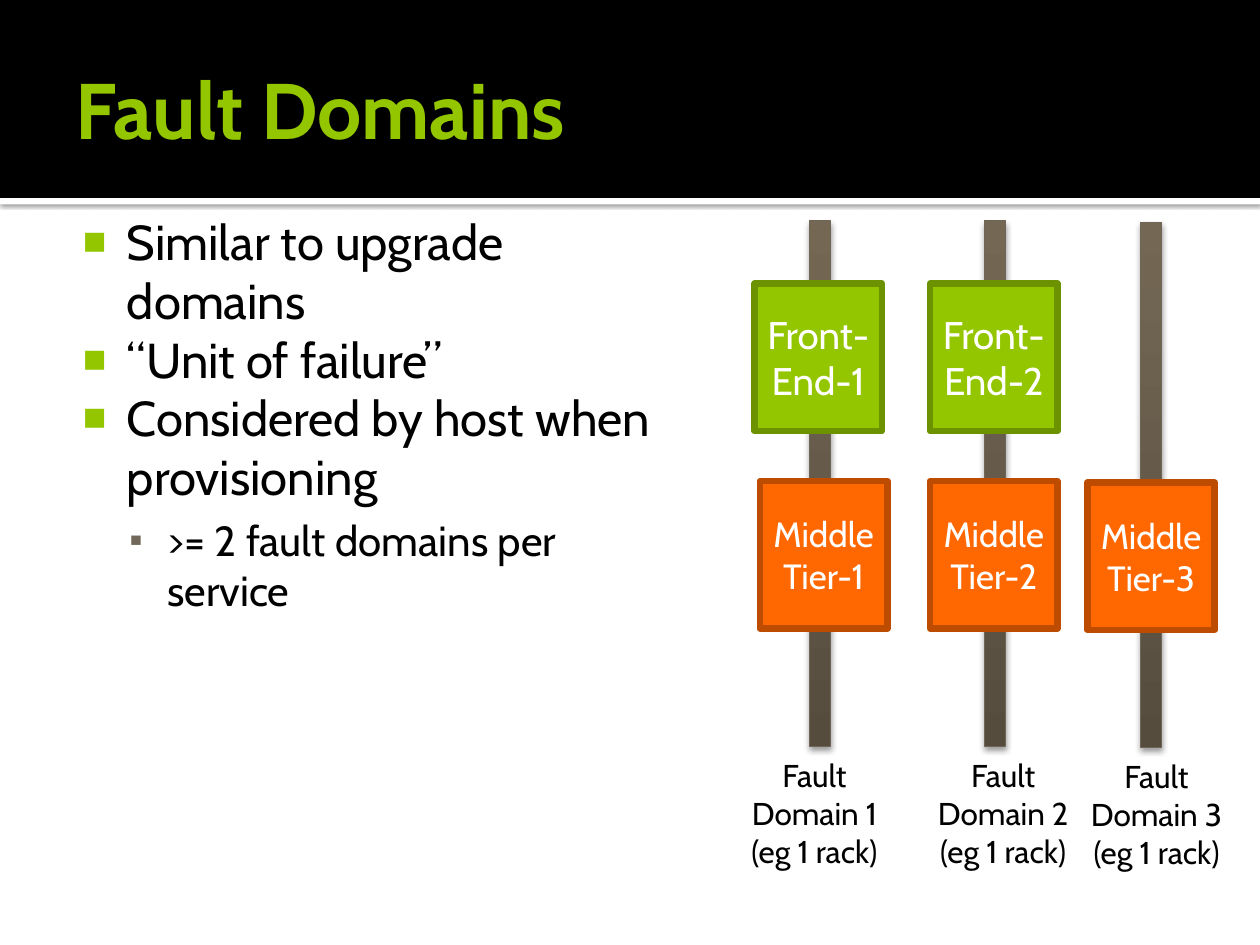
import pptx
import pptx.util
import pptx.dml.color
import pptx.enum.shapes
import pptx.enum.text
import pptx.oxml
import pptx.oxml.ns
import lxml.etree

Cm, Pt = pptx.util.Cm, pptx.util.Pt
Rgb = pptx.dml.color.RGBColor.from_string
Align, Anchor = pptx.enum.text.PP_ALIGN, pptx.enum.text.MSO_ANCHOR
FONT = "Cabin"
HEX = {
    "black": "000000", "white": "FFFFFF", "lime": "94C600", "moss": "6D9200",
    "flame": "FF6700", "rust": "BD4C00", "dark": "554C3E", "light": "746855",
    "edge": "6F6657", "stone": "71685A",
}

deck = pptx.Presentation()
deck.slide_width, deck.slide_height = Cm(25.4), Cm(19.05)
slide = deck.slides.add_slide(deck.slide_layouts[1])


def block(x, y, w, h, fill=None, shade=None):
    """Add a plain rectangle; shade is (opacity %, blur pt, distance pt)."""
    rect = slide.shapes.add_shape(
        pptx.enum.shapes.MSO_SHAPE.RECTANGLE, Cm(x), Cm(y), Cm(w), Cm(h))
    rect.shadow.inherit = False
    rect.line.fill.background()
    if fill:
        rect.fill.solid()
        rect.fill.fore_color.rgb = Rgb(HEX[fill])
    if shade:
        alpha, blur, dist = shade
        props = rect.element.spPr.find(pptx.oxml.ns.qn("a:effectLst"))
        props.append(pptx.oxml.parse_xml(
            f'<a:outerShdw {pptx.oxml.ns.nsdecls("a")} blurRad="{Pt(blur)}" '
            f'dist="{Pt(dist)}" dir="5400000" rotWithShape="0">'
            f'<a:srgbClr val="{HEX["black"]}"><a:alpha val="{alpha * 1000}"/>'
            '</a:srgbClr></a:outerShdw>'))
    return rect


def style(frame, size, color, align, pads, bold=False):
    """Set the insets (left, top, right, bottom in cm) and format all text."""
    frame.word_wrap = True
    frame.auto_size = pptx.enum.text.MSO_AUTO_SIZE.NONE
    (frame.margin_left, frame.margin_top,
     frame.margin_right, frame.margin_bottom) = map(Cm, pads)
    for para in frame.paragraphs:
        para.alignment = align
        for run in para.runs:
            run.font.name, run.font.size, run.font.bold = FONT, Pt(size), bold
            run.font.color.rgb = Rgb(HEX[color])


# Header band with a white strip below it
block(0, 3.99, 25.4, 0.13, "white", (60, 2.5, 0.8))
block(0, 0, 25.4, 3.99, "black")

# Title, brought in front of the band
title = slide.shapes.title
title.left, title.top, title.width, title.height = map(Cm, (1.27, 0.43, 22.86, 3.48))
title.text_frame.text = "Fault Domains"
title.text_frame.vertical_anchor = Anchor.MIDDLE
style(title.text_frame, 45, "lime", Align.LEFT, (0.25, 0.13, 0.13, 0.13), True)
title.element.getparent().append(title.element)

# Bullet list: text, level
items = [
    ("Similar to upgrade domains", 0),
    ("“Unit of failure”", 0),
    ("Considered by host when provisioning", 0),
    (">= 2 fault domains per service", 1),
]
# Per level: text size, space before, indent, hang, mark, mark colour, mark size %
levels = [
    (28, 0, 1.22, 0.89, "■", "lime", 80),
    (24, 5, 2.03, 0.76, "▪", "stone", 90),
]
body = slide.placeholders[1]
body.left, body.top, body.width, body.height = map(Cm, (1.09, 4.01, 12.78, 13.84))
frame = body.text_frame
frame.text = "\n".join(text for text, level in items)
style(frame, 28, "black", Align.LEFT, (0.25, 0.25, 0.25, 0.13))
for para, (text, level) in zip(frame.paragraphs, items):
    size, gap, left, hang, mark, tint, scale = levels[level]
    para.level = level
    para.space_before = Pt(gap)
    para.runs[0].font.size = Pt(size)
    props = para._p.get_or_add_pPr()
    props.set("marL", str(Cm(left)))
    props.set("indent", str(-Cm(hang)))
    color = lxml.etree.SubElement(props, pptx.oxml.ns.qn("a:buClr"))
    lxml.etree.SubElement(color, pptx.oxml.ns.qn("a:srgbClr"), val=HEX[tint])
    lxml.etree.SubElement(props, pptx.oxml.ns.qn("a:buSzPct"), val=str(scale * 1000))
    lxml.etree.SubElement(props, pptx.oxml.ns.qn("a:buFont"), typeface="Arial")
    lxml.etree.SubElement(props, pptx.oxml.ns.qn("a:buChar"), char=mark)

# Fault domains: rail x, front x, middle x, label x, label width, drop
racks = [
    (16.31, 15.21, 15.32, 15.06, 2.72, 0),
    (19.84, 18.75, 18.75, 18.75, 2.95, 0),
    (22.99, None, 21.92, 21.92, 2.79, 0.03),
]
for num, (rail_x, front_x, mid_x, label_x, wide, drop) in enumerate(racks, 1):
    # Rail
    rail = block(rail_x, 4.45 + drop, 0.43, 10.59, shade=(38, 3.1, 2))
    rail.fill.gradient()
    rail.fill.gradient_angle = 90
    for stop, tint in zip(rail.fill.gradient_stops, ("dark", "light")):
        stop.color.rgb = Rgb(HEX[tint])
    rail.line.color.rgb = Rgb(HEX["edge"])
    rail.line.width = Pt(0.5)

    # Role instances on the rail
    roles = [
        (f"Front-End-{num}", front_x, 5.72, "lime", "moss", 22),
        (f"Middle Tier-{num}", mid_x, 9.7, "flame", "rust", 20),
    ]
    for text, x, y, fill, edge, size in roles:
        if x is None:
            continue
        box = block(x, y + drop, 2.57, 2.97, fill)
        box.line.color.rgb = Rgb(HEX[edge])
        box.line.width = Pt(3.78)
        box.text_frame.text = text
        box.text_frame.vertical_anchor = Anchor.MIDDLE
        style(box.text_frame, size, "white", Align.CENTER, (0.25, 0.13, 0.25, 0.13))

    # Label
    label = slide.shapes.add_textbox(Cm(label_x), Cm(15.24 + drop), Cm(wide), Cm(2.31))
    label.text_frame.text = f"Fault Domain {num}\n(eg 1 rack)"
    style(label.text_frame, 18, "black", Align.CENTER, (0, 0, 0, 0))

deck.save("out.pptx")
